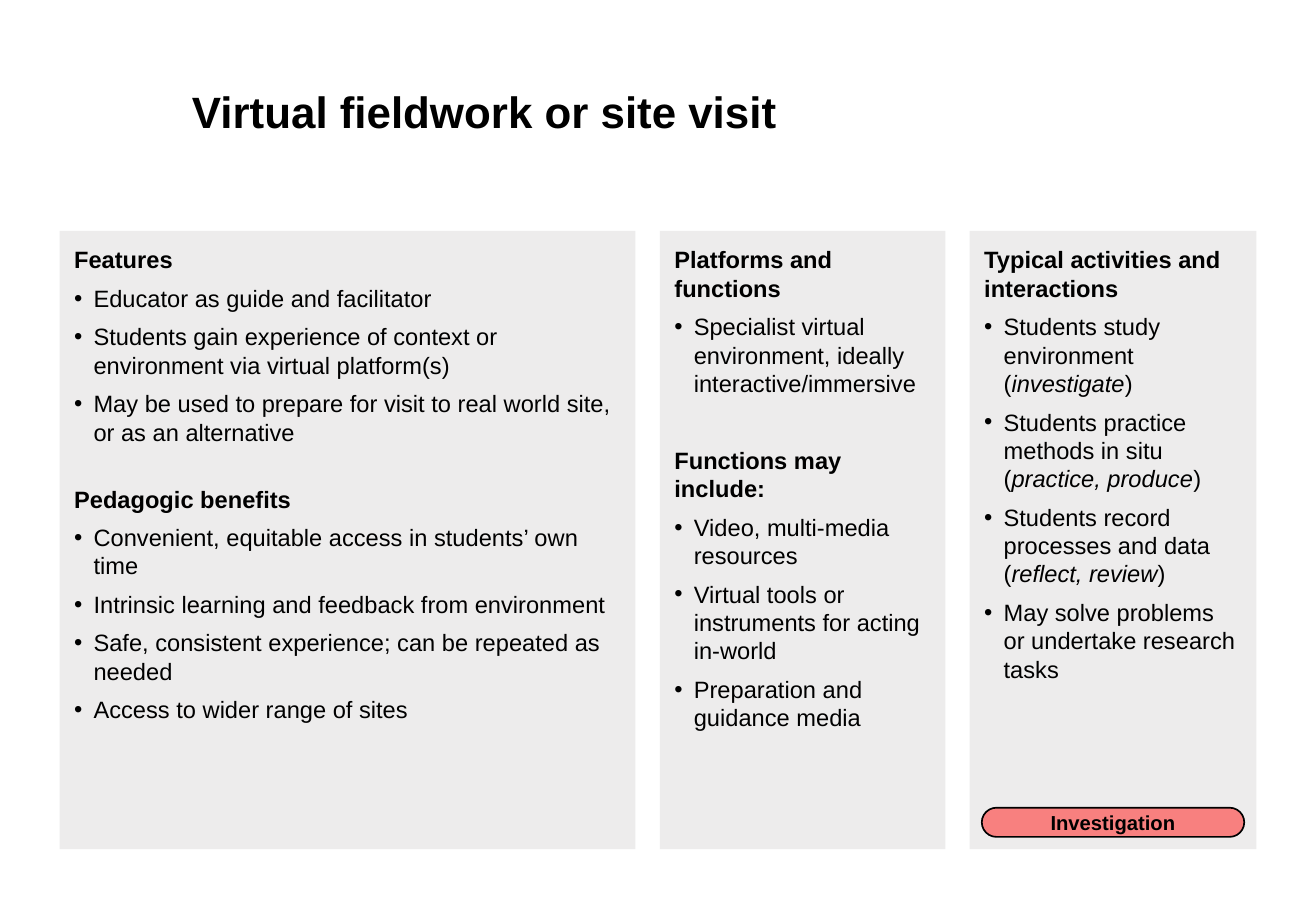
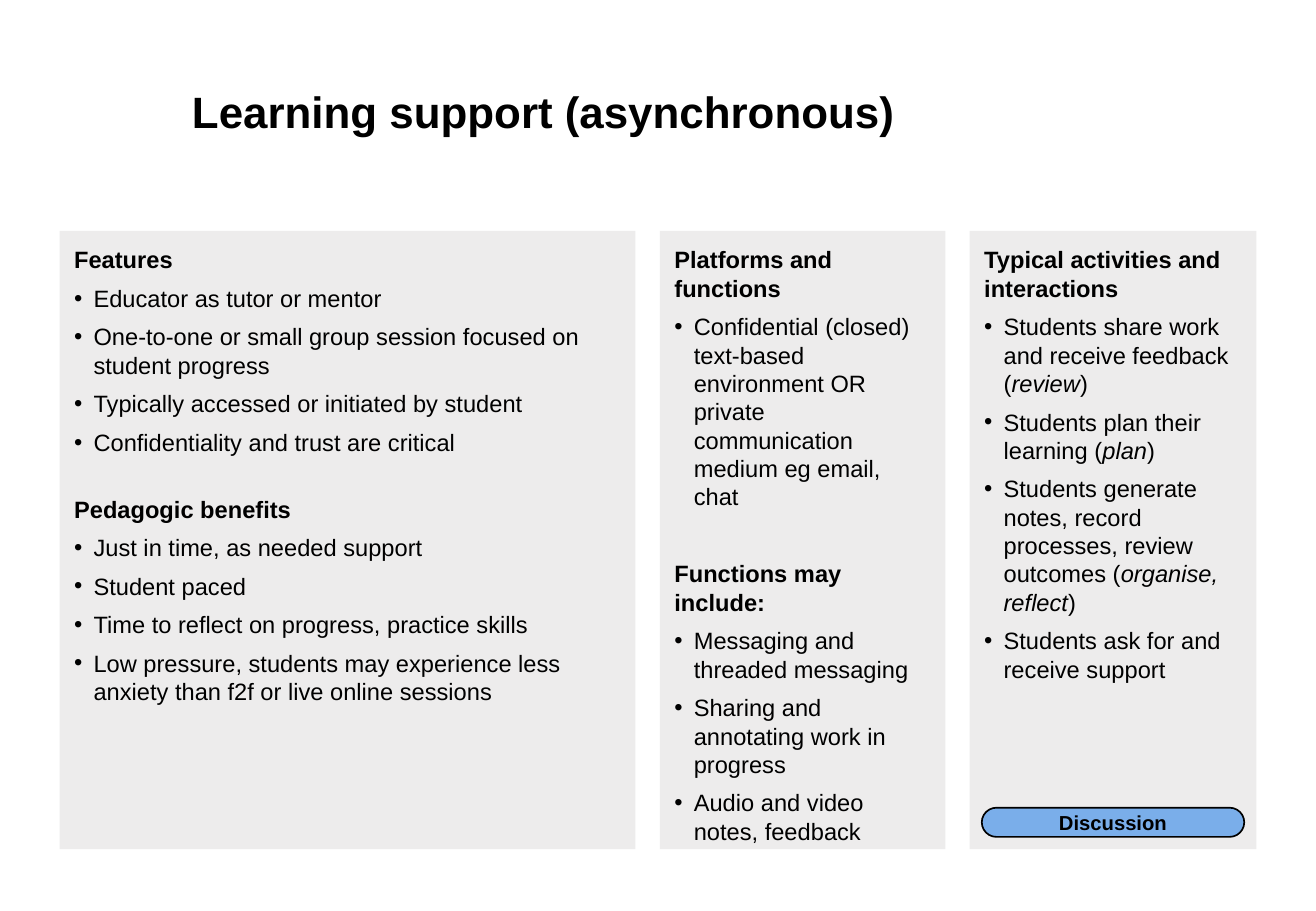
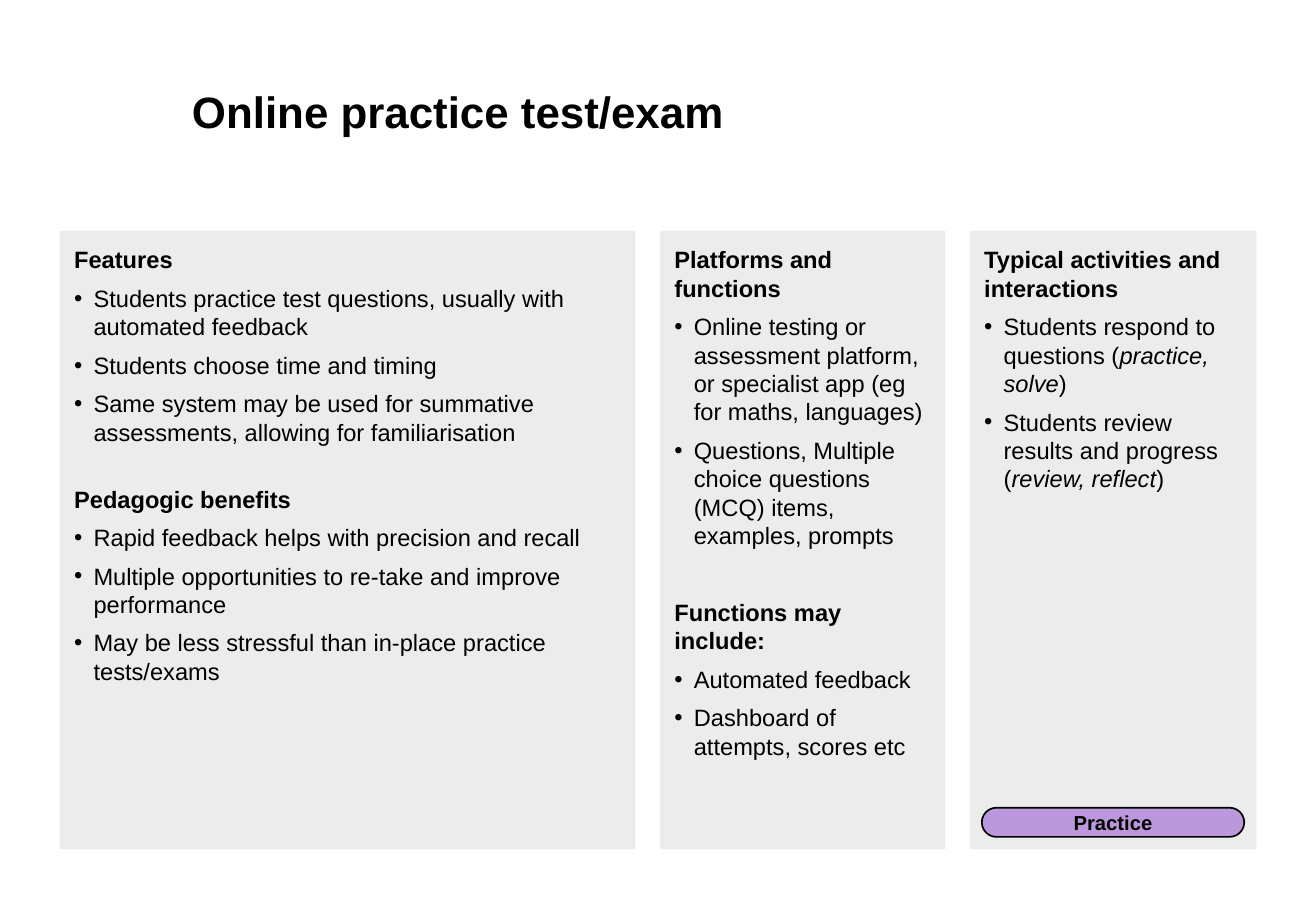
from lxml import etree
from pptx import Presentation
from pptx import util as u
from pptx.dml import color as dml
from pptx.enum import shapes, text
from pptx.oxml import ns

COLORS = {
    "text": "000000",
    "panel": "EDECEC",
    "investigation": "F8807F",
    "discussion": "7AAEEA",
    "practice": "BB98DC",
}
FONT = "Arial"
TITLE_ONLY = 5
TITLE_BOX = (1.28, 0.52, 7.09, 0.79)
PANEL_LEFT, PANEL_TOP, PANEL_HEIGHT, PANEL_GAP = 0.49, 1.9, 5.09, 0.2
PANEL_WIDTHS = (4.74, 2.35, 2.36)
SECTION_GAPS = (22.8, 28.8, 22.8)
LINE_PITCH, PARAGRAPH_GAP = 16.8, 6
BULLET_INDENT = 0.16
TAG_MARGIN, TAG_HEIGHT = 0.1, 0.24

SLIDES = [
    {
        "title": "Virtual fieldwork or site visit",
        "tag": "Investigation",
        "features": [
            "Educator as guide and facilitator",
            "Students gain experience of context or environment via virtual platform(s)",
            "May be used to prepare for visit to real world site, or as an alternative",
        ],
        "benefits": [
            "Convenient, equitable access in students’ own time",
            "Intrinsic learning and feedback from environment",
            "Safe, consistent experience; can be repeated as needed",
            "Access to wider range of sites",
        ],
        "platforms": ["Specialist virtual environment, ideally interactive/immersive"],
        "functions": [
            "Video, multi-media resources",
            "Virtual tools or instruments for acting in-world",
            "Preparation and guidance media",
        ],
        "activities": [
            "Students study environment (*investigate*)",
            "Students practice methods in situ (*practice, produce*)",
            "Students record processes and data (*reflect, review*)",
            "May solve problems or undertake research tasks",
        ],
    },
    {
        "title": "Learning support (asynchronous)",
        "tag": "Discussion",
        "features": [
            "Educator as tutor or mentor",
            "One-to-one or small group session focused on student progress",
            "Typically accessed or initiated by student",
            "Confidentiality and trust are critical",
        ],
        "benefits": [
            "Just in time, as needed support",
            "Student paced",
            "Time to reflect on progress, practice skills",
            "Low pressure, students may experience less anxiety than f2f or live online sessions",
        ],
        "platforms": [
            "Confidential (closed) text-based environment OR private communication "
            "medium eg email, chat",
        ],
        "functions": [
            "Messaging and threaded messaging",
            "Sharing and annotating work in progress",
            "Audio and video notes, feedback",
        ],
        "activities": [
            "Students share work and receive feedback (*review*)",
            "Students plan their learning (*plan*)",
            "Students generate notes, record processes, review outcomes (*organise, reflect*)",
            "Students ask for and receive support",
        ],
    },
    {
        "title": "Online practice test/exam",
        "tag": "Practice",
        "features": [
            "Students practice test questions, usually with automated feedback",
            "Students choose time and timing",
            "Same system may be used for summative assessments, allowing for familiarisation",
        ],
        "benefits": [
            "Rapid feedback helps with precision and recall",
            "Multiple opportunities to re-take and improve performance",
            "May be less stressful than in-place practice tests/exams",
        ],
        "platforms": [
            "Online testing or assessment platform, or specialist app (eg for maths, languages)",
            "Questions, Multiple choice questions (MCQ) items, examples, prompts",
        ],
        "functions": ["Automated feedback", "Dashboard of attempts, scores etc"],
        "activities": [
            "Students respond to questions (*practice, solve*)",
            "Students review results and progress (*review, reflect*)",
        ],
    },
]


def rgb(name):
    return dml.RGBColor.from_string(COLORS[name])


def style_run(run, size, bold=False, italic=False):
    run.font.name = FONT
    run.font.size = u.Pt(size)
    run.font.bold = bold
    run.font.italic = italic
    run.font.color.rgb = rgb("text")


def set_frame(frame, anchor, insets):
    frame.word_wrap = True
    frame.auto_size = text.MSO_AUTO_SIZE.NONE
    frame.vertical_anchor = anchor
    (frame.margin_left, frame.margin_top,
     frame.margin_right, frame.margin_bottom) = map(u.Inches, insets)


def add_box(slide, kind, box, fill):
    shape = slide.shapes.add_shape(kind, *map(u.Inches, box))
    shape.shadow.inherit = False
    shape.fill.solid()
    shape.fill.fore_color.rgb = rgb(fill)
    shape.line.fill.background()
    return shape


def add_bullet(paragraph):
    properties = paragraph._p.get_or_add_pPr()
    properties.set("marL", str(u.Inches(BULLET_INDENT)))
    properties.set("indent", str(-u.Inches(BULLET_INDENT)))
    etree.SubElement(properties, ns.qn("a:buFont")).set("typeface", FONT)
    etree.SubElement(properties, ns.qn("a:buChar")).set("char", "•")


def write_paragraph(paragraph, content, space_before, heading):
    paragraph.alignment = text.PP_ALIGN.LEFT
    paragraph.line_spacing = u.Pt(LINE_PITCH)
    paragraph.space_before = u.Pt(space_before)
    if not heading:
        add_bullet(paragraph)
    for index, part in enumerate(content.split("*")):
        run = paragraph.add_run()
        run.text = part
        style_run(run, 14, bold=heading, italic=index % 2 == 1)


def add_panel(slide, box, sections, section_gap):
    shape = add_box(slide, shapes.MSO_SHAPE.RECTANGLE, box, "panel")
    frame = shape.text_frame
    set_frame(frame, text.MSO_ANCHOR.TOP, [0.12] * 4)
    for index, (heading, bullets) in enumerate(sections):
        paragraph = frame.add_paragraph() if index else frame.paragraphs[0]
        write_paragraph(paragraph, heading, section_gap if index else PARAGRAPH_GAP, True)
        for bullet in bullets:
            write_paragraph(frame.add_paragraph(), bullet, PARAGRAPH_GAP, False)


def add_tag(slide, panel_box, label):
    left, top, width, height = panel_box
    box = (left + TAG_MARGIN, top + height - TAG_MARGIN - TAG_HEIGHT,
           width - 2 * TAG_MARGIN, TAG_HEIGHT)
    shape = add_box(slide, shapes.MSO_SHAPE.ROUNDED_RECTANGLE, box, label.lower())
    shape.adjustments[0] = 0.5
    shape.line.color.rgb = rgb("text")
    shape.line.width = u.Pt(1)
    set_frame(shape.text_frame, text.MSO_ANCHOR.MIDDLE, (0.2, 0.05, 0.2, 0.05))
    shape.text_frame.text = label
    paragraph = shape.text_frame.paragraphs[0]
    paragraph.alignment = text.PP_ALIGN.CENTER
    style_run(paragraph.runs[0], 12, bold=True)


def set_title(slide, box, content):
    title = slide.shapes.title
    title.left, title.top, title.width, title.height = map(u.Inches, box)
    set_frame(title.text_frame, text.MSO_ANCHOR.MIDDLE, (0.3, 0, 0, 0))
    title.text_frame.text = content
    paragraph = title.text_frame.paragraphs[0]
    paragraph.alignment = text.PP_ALIGN.LEFT
    style_run(paragraph.runs[0], 26, bold=True)


def add_activity_slide(presentation, content):
    slide = presentation.slides.add_slide(presentation.slide_layouts[TITLE_ONLY])
    set_title(slide, TITLE_BOX, content["title"])
    panels = [
        [("Features", content["features"]), ("Pedagogic benefits", content["benefits"])],
        [("Platforms and functions", content["platforms"]),
         ("Functions may include:", content["functions"])],
        [("Typical activities and interactions", content["activities"])],
    ]
    left = PANEL_LEFT
    for width, sections, section_gap in zip(PANEL_WIDTHS, panels, SECTION_GAPS):
        box = (left, PANEL_TOP, width, PANEL_HEIGHT)
        add_panel(slide, box, sections, section_gap)
        left += width + PANEL_GAP
    add_tag(slide, box, content["tag"])


def main():
    presentation = Presentation()
    presentation.slide_width = u.Inches(10.83)
    presentation.slide_height = u.Inches(7.5)
    for content in SLIDES:
        add_activity_slide(presentation, content)
    presentation.save("out.pptx")


if __name__ == "__main__":
    main()
